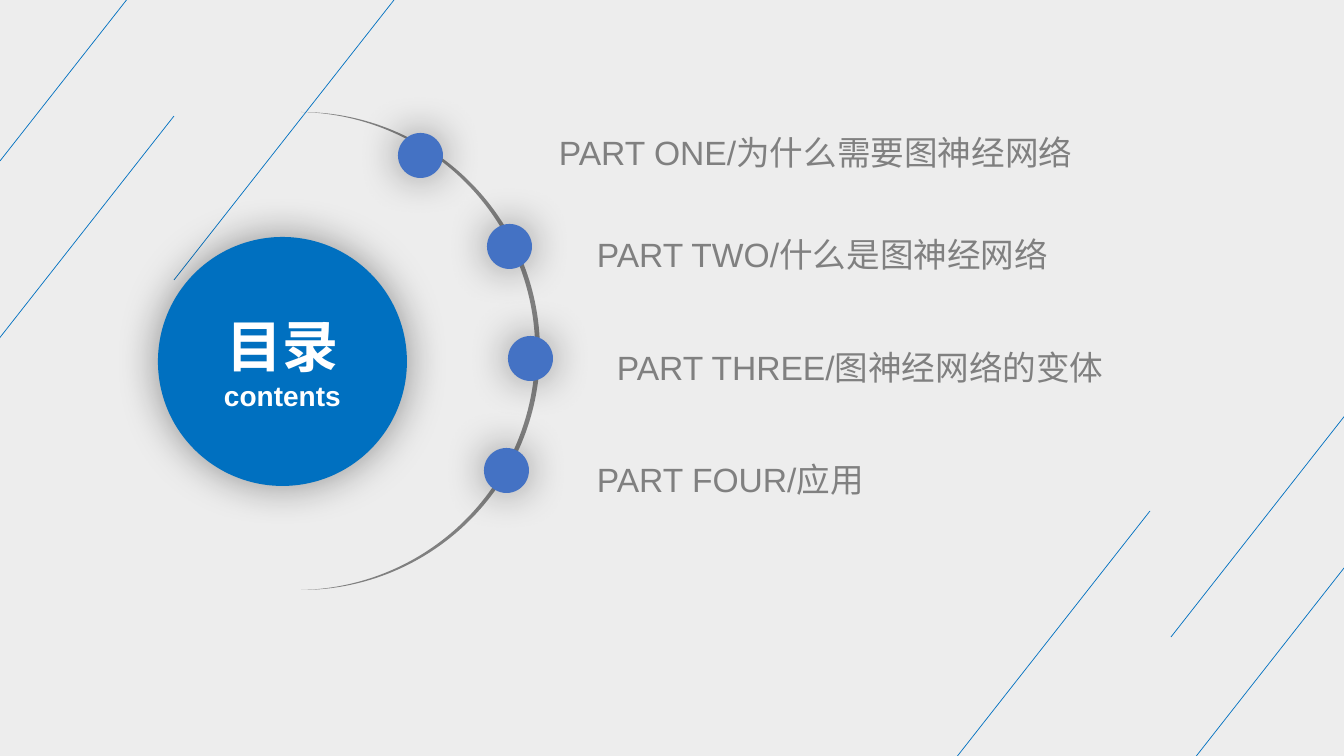
from lxml import etree
from pptx import Presentation
from pptx import util as u
from pptx.dml.color import RGBColor
from pptx.enum import shapes, text
from pptx.oxml.ns import qn

PX = 914400 / 100.8
BACKDROP = RGBColor(0xED, 0xED, 0xED)
BLUE = RGBColor(0x00, 0x70, 0xC0)
DOT_BLUE = RGBColor(0x44, 0x72, 0xC4)
GRAY = RGBColor(0x80, 0x80, 0x80)
WHITE = RGBColor(0xFF, 0xFF, 0xFF)

STRIPE_RUN, STRIPE_RISE = 220, 280
STRIPE_STARTS = [(930, 791), (1171, 637), (-46, 396),
                 (174, 280), (1150, 815), (0, 161)]
DOT_SIZE = 45
PARTS = [
    ("PART ONE/为什么需要图神经网络", (549, 107, 582, 72), (398, 133)),
    ("PART TWO/什么是图神经网络", (587, 209, 484, 72), (487, 224)),
    ("PART THREE/图神经网络的变体", (607, 322, 582, 72), (508, 336)),
    ("PART FOUR/应用", (587, 434, 484, 64), (484, 448)),
]


def px(*lengths):
    return [u.Emu(round(length * PX)) for length in lengths]


def style_font(paragraph, size, color, bold=False):
    for run in paragraph.runs:
        run.font.name = "Arial"
        run.font.size = u.Pt(size)
        run.font.bold = bold
        run.font.color.rgb = color


def add_stripe(slide, left, bottom):
    stripe = slide.shapes.add_connector(
        shapes.MSO_CONNECTOR.STRAIGHT,
        *px(left, bottom, left + STRIPE_RUN, bottom - STRIPE_RISE))
    stripe.line.color.rgb = BLUE
    stripe.line.width = u.Pt(0.5)
    etree.SubElement(stripe._element.spPr, qn("a:effectLst"))


def add_flat(slide, preset, box, color):
    flat = slide.shapes.add_shape(preset, *px(*box))
    flat.shadow.inherit = False
    flat.fill.solid()
    flat.fill.fore_color.rgb = color
    flat.line.fill.background()
    return flat


def add_disc(slide, left, top, size, color):
    disc = add_flat(slide, shapes.MSO_SHAPE.OVAL, (left, top, size, size), color)
    effects = disc._element.spPr.find(qn("a:effectLst"))
    glow = etree.SubElement(effects, qn("a:outerShdw"),
                            blurRad=str(u.Pt(30)), dist="0", dir="0",
                            algn="ctr", rotWithShape="0")
    black = etree.SubElement(glow, qn("a:srgbClr"), val="000000")
    etree.SubElement(black, qn("a:alpha"), val="40000")
    return disc


def add_label(slide, wording, box):
    label = slide.shapes.add_textbox(*px(*box))
    frame = label.text_frame
    frame.word_wrap = True
    frame.auto_size = text.MSO_AUTO_SIZE.SHAPE_TO_FIT_TEXT
    frame.text = wording
    frame.paragraphs[0].line_spacing = 1.5
    style_font(frame.paragraphs[0], 24, GRAY)


def add_title(slide):
    title = add_disc(slide, 158, 237, 249, BLUE)
    frame = title.text_frame
    frame.vertical_anchor = text.MSO_ANCHOR.MIDDLE
    frame.text = "目录\ncontents"
    for paragraph, size in zip(frame.paragraphs, (40, 20)):
        paragraph.alignment = text.PP_ALIGN.CENTER
        style_font(paragraph, size, WHITE, bold=True)


def add_arc(slide):
    arc = add_flat(slide, shapes.MSO_SHAPE.MOON, (301, 112, 239, 478), GRAY)
    arc.rotation = 180
    arc.adjustments[0] = 0.02


def main():
    deck = Presentation()
    deck.slide_width, deck.slide_height = px(1344, 756)
    slide = deck.slides.add_slide(deck.slide_layouts[6])
    slide.background.fill.solid()
    slide.background.fill.fore_color.rgb = BACKDROP

    for left, bottom in STRIPE_STARTS:
        add_stripe(slide, left, bottom)
    for wording, box, _ in PARTS:
        add_label(slide, wording, box)
    add_title(slide)
    add_arc(slide)
    for _, _, (left, top) in PARTS:
        add_disc(slide, left, top, DOT_SIZE, DOT_BLUE)

    deck.save("out.pptx")


if __name__ == "__main__":
    main()
